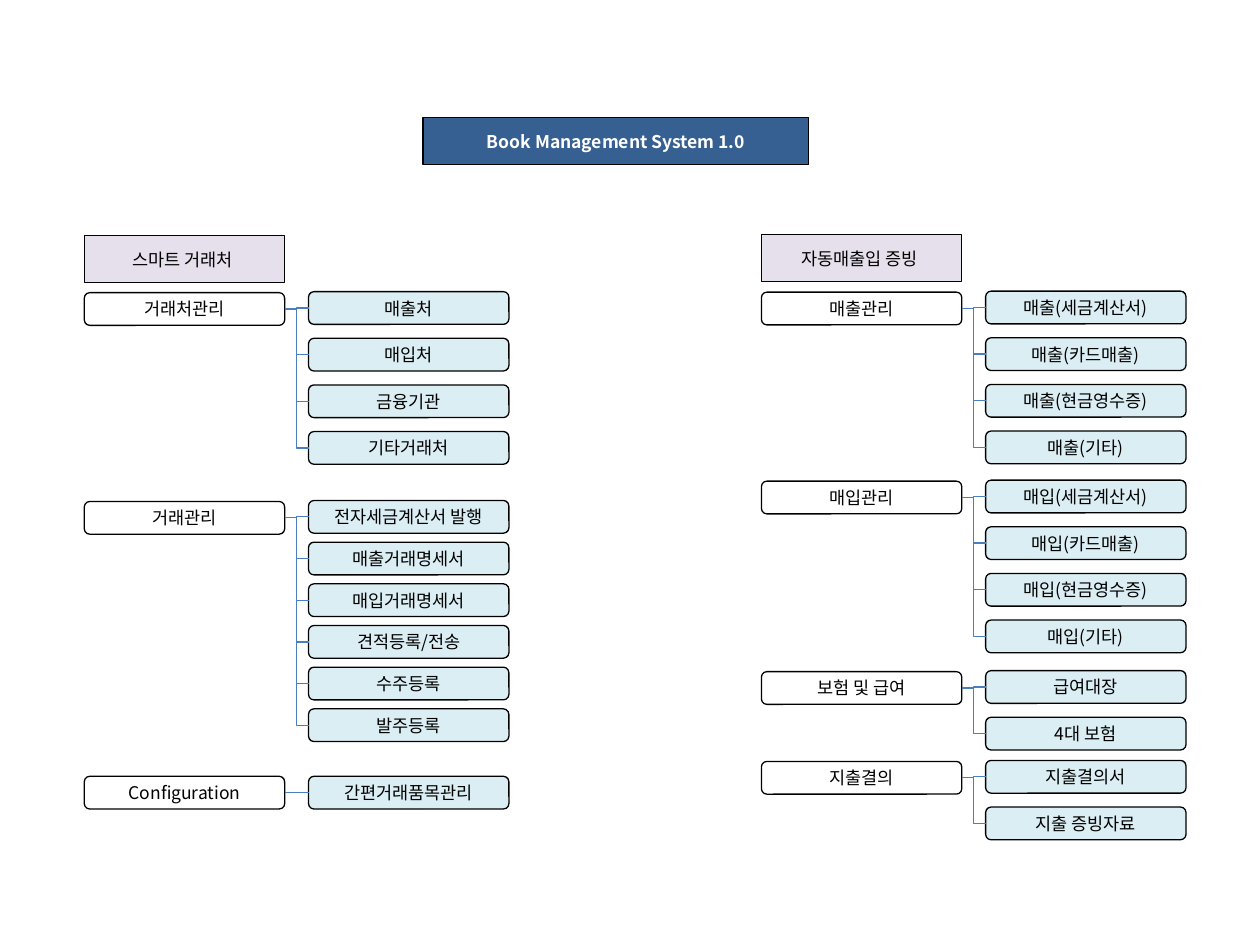
import dataclasses

import lxml.etree
import pptx
import pptx.dml.color
import pptx.enum.shapes
import pptx.enum.text
import pptx.oxml.ns
import pptx.util

Cm = pptx.util.Cm
Shape = pptx.enum.shapes.MSO_SHAPE
RIGHT_SIDE, LEFT_SIDE = 3, 1


@dataclasses.dataclass(frozen=True)
class Theme:
    font: str = "Noto Sans CJK KR"
    text_size: float = 10
    line_width: float = 0.75
    ink: str = "000000"
    title_ink: str = "FFFFFF"
    title_fill: str = "376092"
    header_fill: str = "E6E0EC"
    item_fill: str = "DBEEF4"
    link: str = "4B7EBC"


def color(code):
    return pptx.dml.color.RGBColor.from_string(code)


def add_xml(parent, tag, **attributes):
    return lxml.etree.SubElement(parent, pptx.oxml.ns.qn(tag), attributes)


def apply_format(target, values):
    for name, value in values.items():
        setattr(target, name, value)


class Chart:
    """Draws the boxes and links of a menu tree on one page."""

    box_width, box_height = 4.04, 0.66
    header_height = 0.95
    item_offset = 4.52

    def __init__(self, page, theme):
        self.page = page
        self.theme = theme

    def outline(self, line, code):
        line.color.rgb = color(code)
        line.width = pptx.util.Pt(self.theme.line_width)

    def box(self, text, left, top, width=box_width, height=box_height,
            kind=Shape.ROUNDED_RECTANGLE, fill=None, ink=None, bold=False):
        box = self.page.shapes.add_shape(
            kind, Cm(left), Cm(top), Cm(width), Cm(height))
        box.shadow.inherit = False
        if fill:
            box.fill.solid()
            box.fill.fore_color.rgb = color(fill)
        else:
            box.fill.background()
        self.outline(box.line, self.theme.ink)

        apply_format(box.text_frame, {
            "word_wrap": True,
            "vertical_anchor": pptx.enum.text.MSO_ANCHOR.MIDDLE,
        })
        para = box.text_frame.paragraphs[0]
        para.alignment = pptx.enum.text.PP_ALIGN.CENTER
        span = para.add_run()
        span.text = text
        apply_format(span.font, {
            "name": self.theme.font,
            "size": pptx.util.Pt(self.theme.text_size),
            "bold": bold,
        })
        span.font.color.rgb = color(ink or self.theme.ink)
        add_xml(span.font._element, "a:ea", typeface=self.theme.font)
        return box

    def title(self, text, left, top, width):
        self.box(text, left, top, width, self.header_height, Shape.RECTANGLE,
                 self.theme.title_fill, self.theme.title_ink, bold=True)

    def header(self, text, left, top):
        self.box(text, left, top, height=self.header_height,
                 kind=Shape.RECTANGLE, fill=self.theme.header_fill)

    def link(self, menu, item):
        link = self.page.shapes.add_connector(
            pptx.enum.shapes.MSO_CONNECTOR.ELBOW, 0, 0, 0, 0)
        link.begin_connect(menu, RIGHT_SIDE)
        link.end_connect(item, LEFT_SIDE)
        self.outline(link.line, self.theme.link)
        add_xml(link._element.spPr, "a:effectLst")

    def branch(self, left, top, pitch, name, items):
        """Draw a menu box and, beside it, its items spaced by pitch."""
        menu = self.box(name, left, top)
        first_top = top - 0.02 if len(items) > 1 else top
        for row, text in enumerate(items):
            item = self.box(text, left + self.item_offset,
                            first_top + row * pitch, fill=self.theme.item_fill)
            self.link(menu, item)


WIDE, TIGHT = 0.94, 0.84  # distance from one item to the next

# header, left, header top, branches (top, pitch, menu, items)
COLUMNS = [
    ("스마트 거래처 ", 1.7, 4.75, [
        (5.9, WIDE, "거래처관리", ["매출처", "매입처", "금융기관", "기타거래처"]),
        (10.11, TIGHT, "거래관리", [
            "전자세금계산서 발행", "매출거래명세서", "매입거래명세서",
            "견적등록/전송", "수주등록", "발주등록"]),
        (15.65, WIDE, "Configuration", ["간편거래품목관리"]),
    ]),
    ("자동매출입 증빙 ", 15.35, 4.73, [
        (5.89, WIDE, "매출관리", [
            "매출(세금계산서)", "매출(카드매출)", "매출(현금영수증)", "매출(기타)"]),
        (9.7, WIDE, "매입관리", [
            "매입(세금계산서)", "매입(카드매출)", "매입(현금영수증)", "매입(기타)"]),
        (13.54, WIDE, "보험 및 급여", ["급여대장", "4대 보험"]),
        (15.35, WIDE, "지출결의", ["지출결의서", "지출 증빙자료"]),
    ]),
]


def main():
    deck = pptx.Presentation()
    apply_format(deck, {"slide_width": Cm(25.4), "slide_height": Cm(19.05)})
    chart = Chart(deck.slides.add_slide(deck.slide_layouts[6]), Theme())

    chart.title("Book Management System 1.0", 8.53, 2.37, 7.77)
    for header, left, header_top, branches in COLUMNS:
        chart.header(header, left, header_top)
        for branch in branches:
            chart.branch(left, *branch)

    deck.save("out.pptx")


if __name__ == "__main__":
    main()
